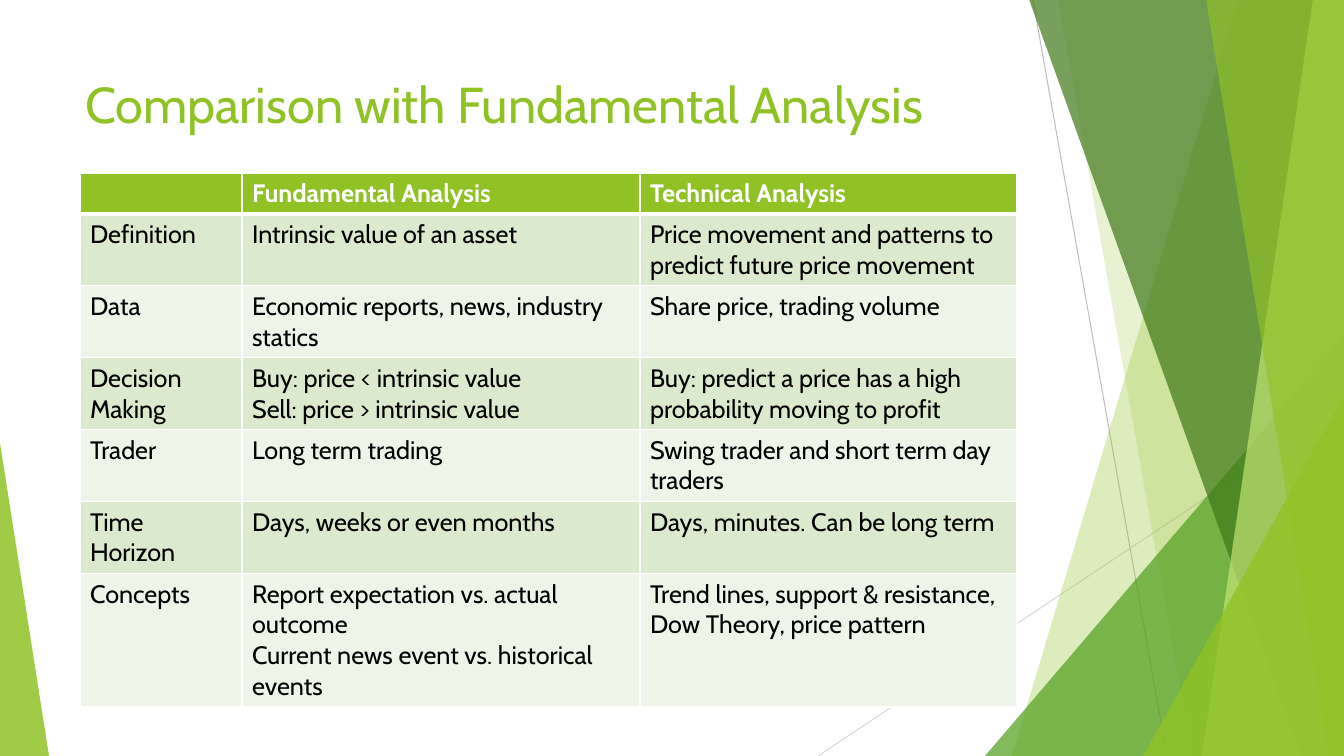
from lxml import etree
from pptx import Presentation
from pptx.dml.color import RGBColor
from pptx.enum.shapes import MSO_CONNECTOR, MSO_SHAPE
from pptx.enum.text import MSO_ANCHOR, MSO_AUTO_SIZE, PP_ALIGN
from pptx.oxml.ns import qn
from pptx.util import Pt

STRAIGHT = MSO_CONNECTOR.STRAIGHT
TRIANGLE = MSO_SHAPE.ISOSCELES_TRIANGLE
PX = 914400 / 100.8
WIDTH, HEIGHT = 1344, 756
FONT = "Cabin"

COLORS = {
    "lime": "90C226", "green": "54A021", "forest": "3F7819", "pale": "C0E474",
    "gray": "BFBFBF", "light gray": "D9D9D9", "white": "FFFFFF", "black": "000000",
    "odd row": "DBE9CD", "even row": "EEF4E8",
}

# Content: each cell is a list of paragraphs
TITLE = "Comparison with Fundamental Analysis"
COMPARISON = [
    ([], ["Fundamental Analysis"], ["Technical Analysis"]),
    (["Definition"], ["Intrinsic value of an asset"],
     ["Price movement and patterns to predict future price movement"]),
    (["Data"], ["Economic reports, news, industry statics"],
     ["Share price, trading volume"]),
    (["Decision Making"],
     ["Buy: price < intrinsic value", "Sell: price > intrinsic value"],
     ["Buy: predict a price has a high probability moving to profit"]),
    (["Trader"], ["Long term trading"], ["Swing trader and short term day traders"]),
    (["Time Horizon"], ["Days, weeks or even months"],
     ["Days, minutes. Can be long term"]),
    (["Concepts"],
     ["Report expectation vs. actual outcome", "Current news event vs. historical events"],
     ["Trend lines, support & resistance, Dow Theory, price pattern"]),
]
COLUMN_WIDTHS = [162, 398, 377]
ROW_HEIGHTS = [39] + [72] * 5 + [133]

# Decoration: thin lines, then facets from back to front
RAYS = [((1033, 0), (1167, 756), "gray"), ((1344, 406), (818, 756), "light gray")]
# Band: left edge at the top and at the bottom, colour, opacity %
# Wedge: left, top, width, apex position, colour, opacity %
FACETS = [
    ("band", (1238, 1012), "lime", 30),
    ("band", (1058, 1192), "lime", 20),
    ("wedge", (985, 336, 359, 1), "green", 72),
    ("band", (1029, 1301), "forest", 70),
    ("band", (1313, 1202), "pale", 70),
    ("band", (1206, 1329), "lime", 65),
    ("wedge", (1143, 396, 201, 1), "lime", 80),
    ("wedge", (0, 443, 49, 0), "lime", 85),
]


def px(*lengths):
    return [round(length * PX) for length in lengths]


def rgb(color):
    return RGBColor.from_string(COLORS[color])


def add_run(paragraph, text, size, color, bold=False):
    run = paragraph.add_run()
    run.text = text
    run.font.name, run.font.size, run.font.bold = FONT, Pt(size), bold
    run.font.color.rgb = rgb(color)


def add_ray(slide, start, end, color):
    ray = slide.shapes.add_connector(STRAIGHT, *px(*start, *end))
    ray.line.color.rgb = rgb(color)
    ray.line.width = Pt(0.75)
    etree.SubElement(ray._element.spPr, qn("a:effectLst"))


def add_facet(slide, kind, geometry, color, opacity):
    if kind == "band":
        top_left, bottom_left = geometry
        builder = slide.shapes.build_freeform(top_left, -1, scale=PX)
        builder.add_line_segments([(WIDTH, -1), (WIDTH, HEIGHT), (bottom_left, HEIGHT)])
        facet = builder.convert_to_shape()
    else:
        left, top, width, apex = geometry
        facet = slide.shapes.add_shape(TRIANGLE, *px(left, top, width, HEIGHT - top))
        facet.adjustments[0] = apex
    facet.shadow.inherit = False
    facet.line.fill.background()
    facet.fill.solid()
    facet.fill.fore_color.rgb = rgb(color)
    srgb = facet._element.spPr.find(".//" + qn("a:srgbClr"))
    etree.SubElement(srgb, qn("a:alpha"), val=str(opacity * 1000))


def add_borders(cell, top, bottom):
    properties = cell._tc.get_or_add_tcPr()
    widths = {"lnL": 1, "lnR": 1, "lnT": top, "lnB": bottom}
    for position, (side, points) in enumerate(widths.items()):
        border = etree.Element(qn("a:" + side), w=str(Pt(points)))
        fill = etree.SubElement(border, qn("a:solidFill"))
        etree.SubElement(fill, qn("a:srgbClr"), val=COLORS["white"])
        properties.insert(position, border)


def add_comparison(slide):
    frame = slide.shapes.add_table(
        len(COMPARISON), len(COLUMN_WIDTHS),
        *px(80, 173, sum(COLUMN_WIDTHS), sum(ROW_HEIGHTS)))
    table = frame.table
    for column, width in zip(table.columns, px(*COLUMN_WIDTHS)):
        column.width = width
    for row, height in zip(table.rows, px(*ROW_HEIGHTS)):
        row.height = height
    for r, aspects in enumerate(COMPARISON):
        header = r == 0
        row_color = "lime" if header else "odd row" if r % 2 else "even row"
        for c, paragraphs in enumerate(aspects):
            cell = table.cell(r, c)
            cell.fill.solid()
            cell.fill.fore_color.rgb = rgb(row_color)
            add_borders(cell, top=3 if r == 1 else 1, bottom=3 if header else 1)
            for i, text in enumerate(paragraphs):
                body = cell.text_frame
                paragraph = body.add_paragraph() if i else body.paragraphs[0]
                add_run(paragraph, text, 18, "white" if header else "black", header)


def main():
    deck = Presentation()
    deck.slide_width, deck.slide_height = px(WIDTH, HEIGHT)
    slide = deck.slides.add_slide(deck.slide_layouts[5])

    # Background decoration
    for ray in RAYS:
        add_ray(slide, *ray)
    for facet in FACETS:
        add_facet(slide, *facet)

    # Title
    title = slide.shapes.title
    title.left, title.top, title.width, title.height = px(75, 68, 947, 145)
    heading = title.text_frame
    heading.word_wrap = True
    heading.auto_size = MSO_AUTO_SIZE.NONE
    heading.vertical_anchor = MSO_ANCHOR.TOP
    heading.paragraphs[0].alignment = PP_ALIGN.LEFT
    add_run(heading.paragraphs[0], TITLE, 36, "lime")

    # Comparison table
    add_comparison(slide)
    deck.save("out.pptx")


if __name__ == "__main__":
    main()
